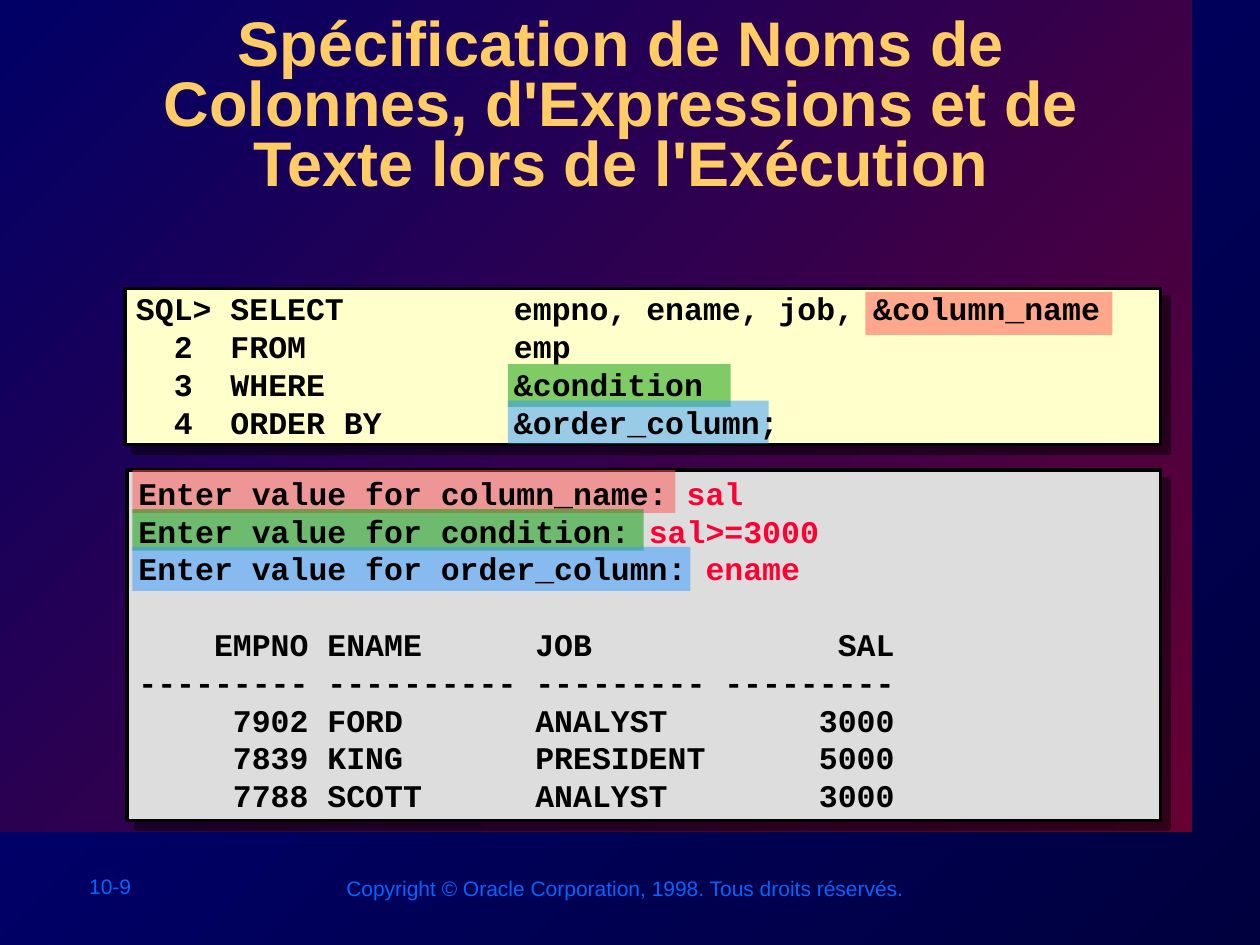
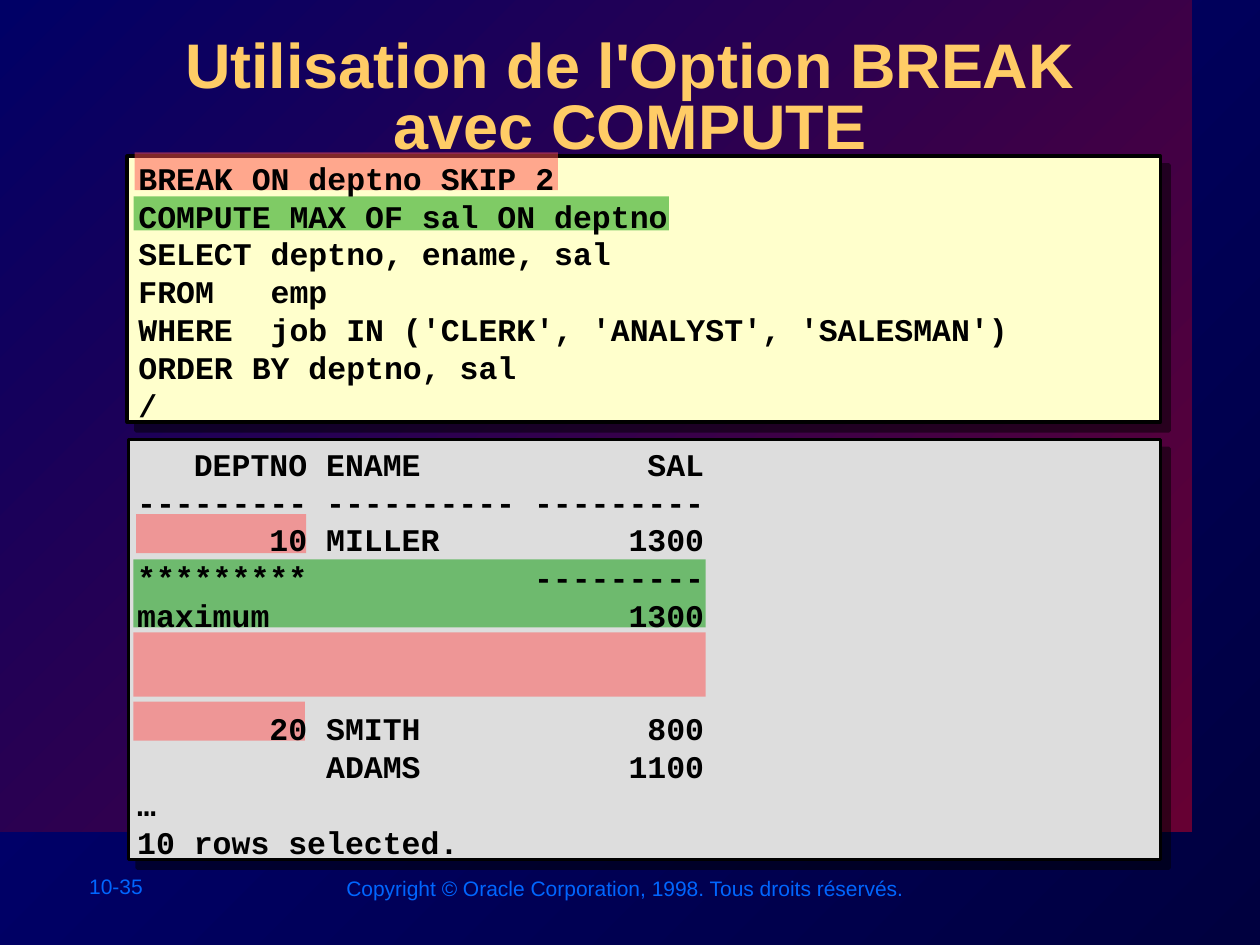
import pptx
import pptx.util
import pptx.dml.color
import pptx.enum.shapes
import pptx.enum.text
import pptx.oxml
import pptx.oxml.ns

Pt = pptx.util.Pt
Anchor = pptx.enum.text.MSO_ANCHOR
qn = pptx.oxml.ns.qn

# Content: boxes are (left, top, width, height); "|" starts the typed reply
HUES = {
    "night": "00003F", "navy": "000080", "wine": "660033", "dusk": "000066",
    "gold": "FFCC66", "foot": "0066FF", "black": "000000", "reply": "FF0033",
    "code": "FFFFCC", "output": "DDDDDD",
    "red": "FF5050", "green": "009900", "blue": "3399FF",
}
RIGHTS = "Copyright © Oracle Corporation, 1998. Tous droits réservés."
LINE = 21.6   # height of one line of code
STOPS = (144, 216)

SLIDES = [
    {
        "number": "10-9",
        "title": "Spécification de Noms de Colonnes, d'Expressions et de "
                 "Texte lors de l'Exécution",
        "place": (56.2, 6.5, 597.6, 104.4),
        "panels": [("code", (71.3, 164.9, 591.8, 89.3)),
                   ("output", (72.7, 268.6, 590.4, 200.2))],
        "marks": [("red", (494.6, 167, 141.1, 24.5)),
                  ("red", (75.6, 268.6, 310.3, 24.5)),
                  ("green", (290.2, 208.1, 127.4, 24.5)),
                  ("green", (75.6, 290.9, 292.3, 23.8)),
                  ("blue", (290.2, 229, 149, 24.5)),
                  ("blue", (75.6, 312.5, 319, 25.2))],
        "texts": [
            ((70.6, 163.4, 589.7, 90), Anchor.MIDDLE, [
                "SQL> SELECT\t\tempno, ename, job, &column_name",
                "  2  FROM\t\temp",
                "  3  WHERE\t\t&condition",
                "  4  ORDER BY\t\t&order_column;"]),
            ((72, 267.8, 589.7, 200.2), Anchor.MIDDLE, [
                "Enter value for column_name: |sal",
                "Enter value for condition: |sal>=3000",
                "Enter value for order_column: |ename",
                "",
                "    EMPNO ENAME      JOB             SAL",
                "--------- ---------- --------- ---------",
                "     7902 FORD       ANALYST        3000",
                "     7839 KING       PRESIDENT      5000",
                "     7788 SCOTT      ANALYST        3000"]),
        ],
    },
    {
        "number": "10-35",
        "title": "Utilisation de l'Option BREAK avec COMPUTE",
        "place": (72.7, 19.4, 574.6, 85.7),
        "panels": [("code", (72.7, 89.3, 590.4, 151.9)),
                   ("output", (73.4, 251.3, 589.7, 239.8))],
        "marks": [("red", (77, 87.1, 241.9, 21.6)),
                  ("red", (76.3, 401, 97.9, 22.3)),
                  ("red", (77.8, 293.8, 97.2, 22.3)),
                  ("red", (76.3, 361.4, 326.9, 36.7)),
                  ("green", (76.3, 112.3, 306, 19.4)),
                  ("green", (76.3, 319.7, 326.9, 38.9))],
        "texts": [
            ((72, 91.4, 576, 149.8), Anchor.MIDDLE, [
                "BREAK ON deptno SKIP 2",
                "COMPUTE MAX OF sal ON deptno",
                "SELECT deptno, ename, sal",
                "FROM   emp",
                "WHERE  job IN ('CLERK', 'ANALYST', 'SALESMAN')",
                "ORDER BY deptno, sal",
                "/"]),
            ((71.3, 250.6, 455.8, 244.8), Anchor.TOP, [
                "   DEPTNO ENAME            SAL",
                "--------- ---------- ---------",
                "       10 MILLER          1300",
                "*********            ---------",
                "maximum                   1300",
                "",
                "",
                "       20 SMITH            800",
                "          ADAMS           1100",
                "…",
                "10 rows selected."]),
        ],
    },
]


def tint(name):
    return pptx.dml.color.RGBColor.from_string(HUES[name])


def points(box):
    return [Pt(side) for side in box]


def shade(fill, first, last):
    """Diagonal gradient from the lower right to the upper left."""
    fill.gradient()
    fill.gradient_angle = 135
    for stop, name in zip(fill.gradient_stops, (first, last)):
        stop.color.rgb = tint(name)


def shadow(dist, alpha):
    space = pptx.oxml.ns.nsdecls("a")
    return pptx.oxml.parse_xml(
        f'<a:outerShdw {space} blurRad="0" dist="{Pt(dist)}" dir="2700000" '
        f'algn="ctr" rotWithShape="0"><a:srgbClr val="{HUES["black"]}">'
        f'<a:alpha val="{alpha}"/></a:srgbClr></a:outerShdw>')


def rect(slide, box, fill=None):
    kind = pptx.enum.shapes.MSO_SHAPE.RECTANGLE
    shape = slide.shapes.add_shape(kind, *points(box))
    shape.shadow.inherit = False
    shape.line.fill.background()
    if fill:
        shape.fill.solid()
        shape.fill.fore_color.rgb = tint(fill)
    return shape


def panel(slide, fill, box):
    shape = rect(slide, box, fill)
    shape.line.color.rgb = tint("black")
    shape.line.width = Pt(2)
    shape.element.spPr.find(qn("a:effectLst")).append(shadow(7.1, 50000))


def mark(slide, fill, box):
    shape = rect(slide, box, fill)
    color = shape.element.spPr.find(qn("a:solidFill")).find(qn("a:srgbClr"))
    color.append(color.makeelement(qn("a:alpha"), {"val": "50000"}))


def tabs(para):
    props = para._p.get_or_add_pPr()
    stops = props.makeelement(qn("a:tabLst"), {})
    for stop in STOPS:
        stops.append(stops.makeelement(
            qn("a:tab"), {"pos": str(Pt(stop)), "algn": "l"}))
    props.append(stops)


def write(shape, lines, font="Arial", size=12, color="foot", bold=False,
          anchor=Anchor.TOP, align=None, pitch=None, glow=False):
    """Fill a shape with lines; an empty line widens the next gap."""
    frame = shape.text_frame
    frame.word_wrap = True
    frame.auto_size = pptx.enum.text.MSO_AUTO_SIZE.NONE
    frame.vertical_anchor = anchor
    para, gap = None, 0
    for line in lines:
        if not line:
            gap += LINE
            continue
        para = frame.add_paragraph() if para else frame.paragraphs[0]
        if align is not None:
            para.alignment = align
        if pitch:
            para.line_spacing = pitch
        if gap:
            para.space_before = Pt(gap)
            gap = 0
        if "\t" in line:
            tabs(para)
        for part, hue in zip(line.split("|"), (color, "reply")):
            run = para.add_run()
            run.text = part
            run.font.name = font
            run.font.size = Pt(size)
            run.font.bold = bold
            run.font.color.rgb = tint(hue)
            if glow:
                fill = run.font._element.find(qn("a:solidFill"))
                effect = fill.makeelement(qn("a:effectLst"), {})
                effect.append(shadow(3, 100000))
                fill.addnext(effect)


def label(slide, box, lines, **look):
    write(slide.shapes.add_textbox(*points(box)), lines, **look)


def frame(deck, page):
    """Add a slide with the shared band, footers and title."""
    slide = deck.slides.add_slide(deck.slide_layouts[5])
    band = rect(slide, (0, 0, 681.1, 475.2))
    shade(band.fill, "wine", "dusk")
    label(slide, (43.9, 495.4, 86.4, 21.6), [page["number"]])
    label(slide, (190.8, 496.8, 335.5, 21.6), [RIGHTS])
    title = slide.shapes.title
    title.left, title.top, title.width, title.height = points(page["place"])
    write(title, [page["title"]], size=36, color="gold", bold=True,
          align=pptx.enum.text.PP_ALIGN.CENTER, pitch=0.8, glow=True)
    # Bring the title in front of the band
    title.element.getparent().append(title.element)
    return slide


def main():
    deck = pptx.Presentation()
    deck.slide_width, deck.slide_height = Pt(720), Pt(540)
    shade(deck.slide_master.background.fill, "night", "navy")
    for page in SLIDES:
        slide = frame(deck, page)
        for fill, box in page["panels"]:
            panel(slide, fill, box)
        for fill, box in page["marks"]:
            mark(slide, fill, box)
        for box, anchor, lines in page["texts"]:
            label(slide, box, lines, font="Courier New", size=18,
                  color="black", bold=True, anchor=anchor)
    deck.save("out.pptx")


if __name__ == "__main__":
    main()
